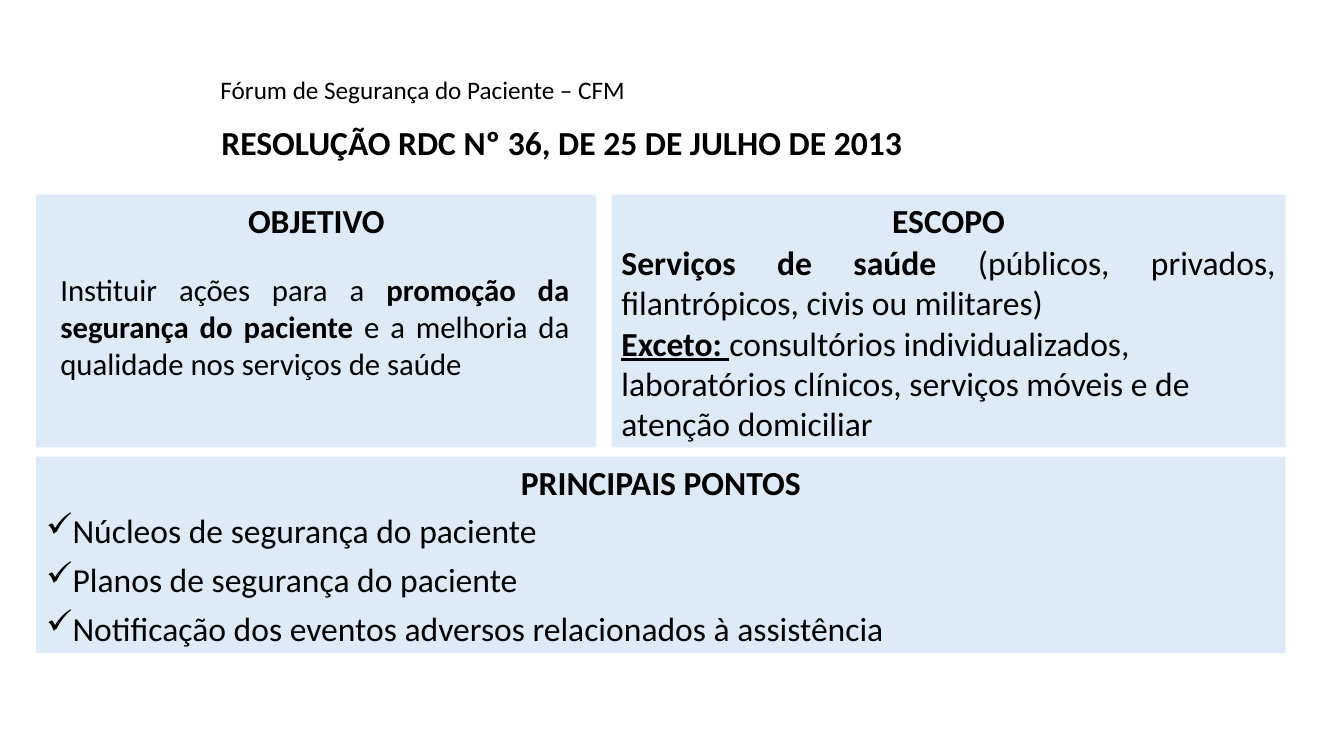
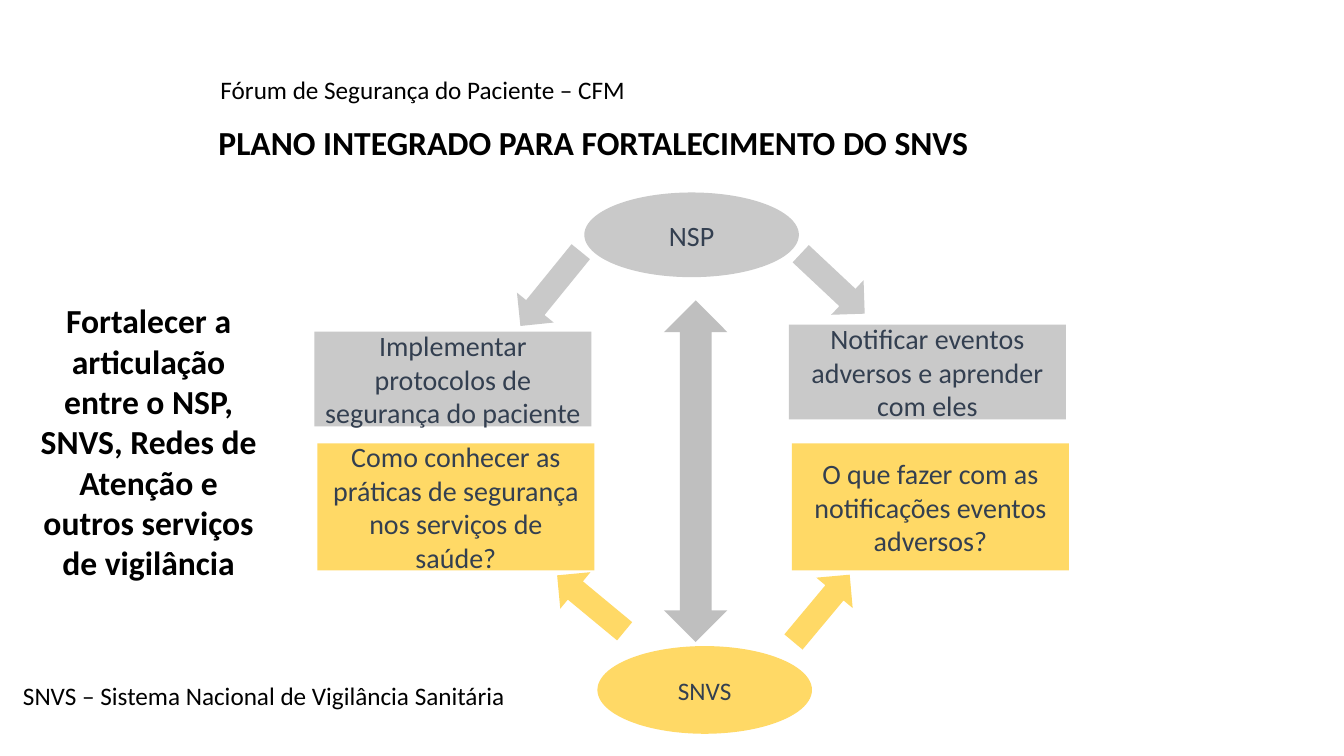
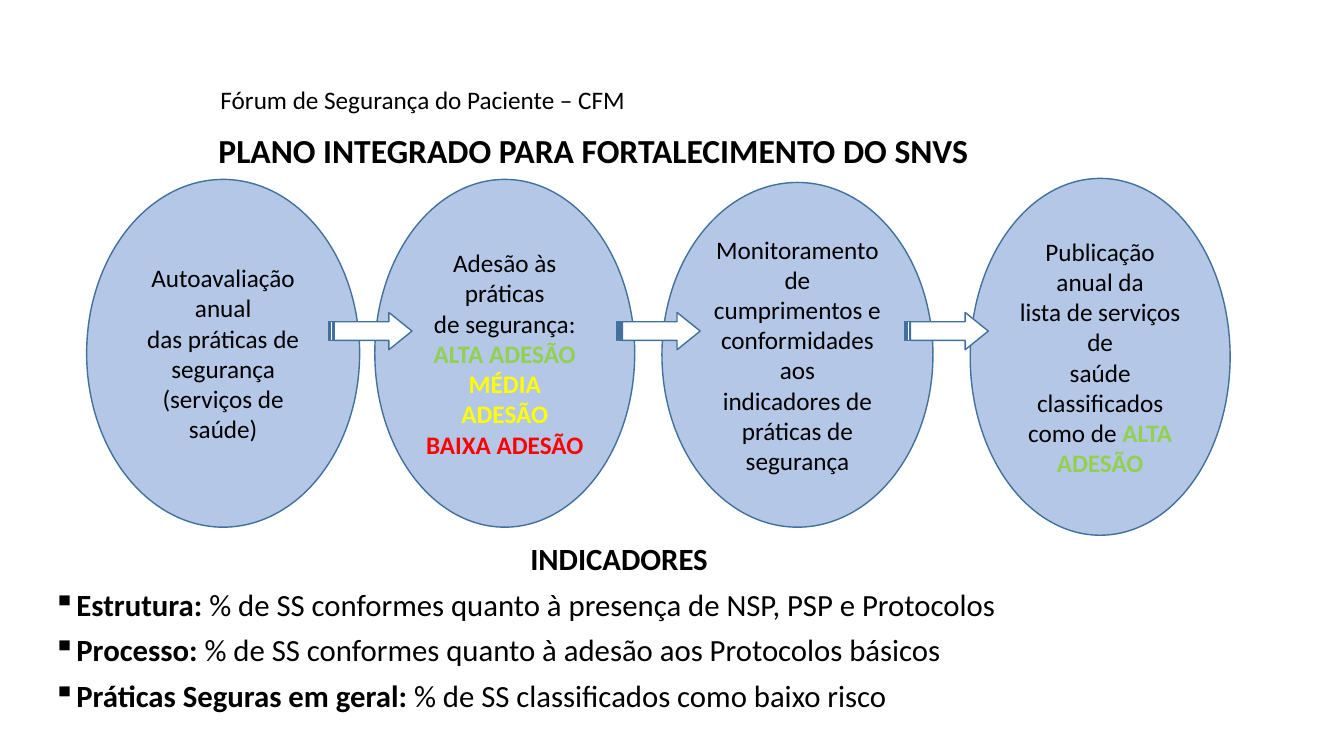
from lxml import etree
from pptx import Presentation
from pptx.dml.color import RGBColor
from pptx.enum import shapes, text
from pptx.oxml import ns
from pptx.util import Inches, Pt

FONT = "Calibri"
BLACK, WHITE, SLATE = "000000", "FFFFFF", "333F50"
PALE_BLUE, BLUE, OUTLINE = "DEEBF7", "B4C7E7", "41719C"
GREY, DARK_GREY, GOLD = "C9C9C9", "BFBFBF", "FFD966"
GREEN, YELLOW, RED = "92D050", "FFFF00", "FF0000"
LEFT, CENTER, JUSTIFY = text.PP_ALIGN.LEFT, text.PP_ALIGN.CENTER, text.PP_ALIGN.JUSTIFY
TOP, MIDDLE = text.MSO_ANCHOR.TOP, text.MSO_ANCHOR.MIDDLE
KIND = shapes.MSO_SHAPE
PLAN_TITLE = "PLANO INTEGRADO PARA FORTALECIMENTO DO SNVS"


def rgb(value):
    return RGBColor.from_string(value)


def bold(words, color=None, underline=None):
    return words, color, underline


def add_bullet(paragraph, mark, indent):
    properties = paragraph._p.get_or_add_pPr()
    properties.set("marL", str(Inches(indent)))
    properties.set("indent", str(-Inches(indent)))
    etree.SubElement(properties, ns.qn("a:buChar")).set("char", mark)


def add_runs(paragraph, runs):
    for part in runs:
        words, color, underline = (part, None, None) if isinstance(part, str) else part
        run = paragraph.add_run()
        run.text = words
        if not isinstance(part, str):
            run.font.bold = True
        if color:
            run.font.color.rgb = rgb(color)
        if underline:
            run.font.underline = True


def write(shape, paragraphs, size, color=BLACK, align=LEFT, anchor=TOP, strong=False,
          heading=None, bullet=None, before=0, after=0):
    frame = shape.text_frame
    frame.word_wrap = True
    frame.vertical_anchor = anchor
    lines = ([heading] if heading else []) + paragraphs
    for index, line in enumerate(lines):
        paragraph = frame.add_paragraph() if index else frame.paragraphs[0]
        is_heading = heading is not None and index == 0
        if bullet and not is_heading:
            add_bullet(paragraph, *bullet)
        paragraph.alignment = CENTER if is_heading else align
        paragraph.space_before = Pt(before if index else 0)
        paragraph.space_after = Pt(after)
        font = paragraph.font
        font.name, font.size, font.bold = FONT, Pt(size), strong or is_heading
        font.color.rgb = rgb(color)
        add_runs(paragraph, [line] if isinstance(line, (str, tuple)) else line)


def add_text(slide, box, paragraphs, size, **style):
    write(slide.shapes.add_textbox(*map(Inches, box)), paragraphs, size, **style)


def add_block(slide, kind, box, fill, line=None, rotation=0):
    shape = slide.shapes.add_shape(kind, *map(Inches, box))
    shape.shadow.inherit = False
    shape.fill.solid()
    shape.fill.fore_color.rgb = rgb(fill)
    if line:
        shape.line.color.rgb = rgb(line)
        shape.line.width = Pt(1)
    else:
        shape.line.fill.background()
    shape.rotation = rotation
    return shape


def start_slide(deck, title, left=2.07, forum_top=0.69, title_top=1.16):
    slide = deck.slides.add_slide(deck.slide_layouts[6])
    add_text(slide, (2.09, forum_top, 4.29, 0.4), ["Fórum de Segurança do Paciente – CFM"], 18)
    add_text(slide, (left, title_top, 10.66, 0.9), [title], 24, strong=True)
    return slide


def build_resolution(deck):
    slide = start_slide(deck, "RESOLUÇÃO RDC Nº 36, DE 25 DE JULHO DE 2013", left=2.1)
    for heading, left, width in (("OBJETIVO", 0.36, 5.56), ("ESCOPO", 6.07, 6.69)):
        panel = add_block(slide, KIND.RECTANGLE, (left, 1.93, width, 2.51), PALE_BLUE)
        write(panel, [], 24, heading=heading)
    add_text(slide, (0.5, 2.64, 5.25, 1.2), [[
        "Instituir ações para a ",
        bold("promoção da segurança do paciente "),
        "e a melhoria da qualidade nos serviços de saúde",
    ]], 22, align=JUSTIFY)
    add_text(slide, (6.07, 2.35, 6.69, 0.9), [[
        bold("Serviços de saúde "),
        "(públicos, privados, filantrópicos, civis ou militares)",
    ]], 24, align=JUSTIFY)
    add_text(slide, (6.07, 3.15, 6.69, 1.3), [[
        bold("Exceto: ", underline=True),
        "consultórios individualizados, laboratórios clínicos, "
        "serviços móveis e de atenção domiciliar",
    ]], 24)
    points = add_block(slide, KIND.RECTANGLE, (0.36, 4.53, 12.4, 1.95), PALE_BLUE)
    write(points, [
        "Núcleos de segurança do paciente",
        "Planos de segurança do paciente",
        "Notificação dos eventos adversos relacionados à assistência",
    ], 24, align=JUSTIFY, heading="PRINCIPAIS PONTOS", bullet=("✓", 0.26), before=3, after=3)


def build_cycle(deck):
    slide = start_slide(deck, PLAN_TITLE)
    nodes = (
        (KIND.OVAL, (5.8, 1.91, 2.13, 0.84), GREY, 20, "NSP"),
        (KIND.RECTANGLE, (3.12, 3.29, 2.75, 0.94), GREY, 20,
         "Implementar protocolos de segurança do paciente"),
        (KIND.RECTANGLE, (7.83, 3.22, 2.75, 0.94), GREY, 20,
         "Notificar eventos adversos e aprender com eles"),
        (KIND.RECTANGLE, (3.15, 4.4, 2.75, 1.26), GOLD, 20,
         "Como conhecer as práticas de segurança nos serviços de saúde?"),
        (KIND.RECTANGLE, (7.86, 4.4, 2.75, 1.26), GOLD, 20,
         "O que fazer com as notificações eventos adversos?"),
        (KIND.OVAL, (5.93, 6.41, 2.13, 0.87), GOLD, 18, "SNVS"),
    )
    for kind, box, fill, size, label in nodes:
        node = add_block(slide, kind, box, fill)
        write(node, [label], size, color=SLATE, align=CENTER, anchor=MIDDLE)
    for left, top, width, angle, fill in (
        (4.99, 2.63, 0.95, 129.1, GREY),
        (7.83, 2.58, 0.87, 43.1, GREY),
        (5.43, 5.75, 0.87, 219.6, GOLD),
        (7.72, 5.8, 0.87, 309.9, GOLD),
    ):
        add_block(slide, KIND.RIGHT_ARROW, (left, top, width, 0.47), fill, rotation=angle)
    add_block(slide, KIND.UP_DOWN_ARROW, (6.59, 2.98, 0.63, 3.39), DARK_GREY)
    goal = add_block(slide, KIND.RECTANGLE, (0.23, 2.93, 2.49, 2.9), WHITE)
    write(goal, ["Fortalecer a articulação entre o NSP, SNVS, Redes de Atenção "
                 "e outros serviços de vigilância"], 24, align=CENTER, strong=True)
    add_text(slide, (0.13, 6.7, 6.86, 0.4),
             ["SNVS – Sistema Nacional de Vigilância Sanitária"], 18)


def build_indicators(deck):
    slide = start_slide(deck, PLAN_TITLE, forum_top=0.79, title_top=1.24)
    stages = (
        ((0.86, 1.78, 2.71, 3.45), [
            "Autoavaliação anual", "das práticas de", "segurança", "(serviços de saúde)"]),
        ((3.72, 1.78, 2.58, 3.45), [
            "Adesão às práticas", "de segurança:", bold("ALTA ADESÃO", GREEN),
            bold("MÉDIA ADESÃO", YELLOW), bold("BAIXA ADESÃO", RED)]),
        ((6.57, 1.81, 2.69, 3.42), [
            "Monitoramento de", "cumprimentos e", "conformidades aos",
            "indicadores de", "práticas de", "segurança"]),
        ((9.63, 1.77, 2.58, 3.54), [
            "Publicação anual da", "lista de serviços de", "saúde classificados",
            ["como de ", bold("ALTA ADESÃO", GREEN)]]),
    )
    for box, lines in stages:
        stage = add_block(slide, KIND.OVAL, box, BLUE, OUTLINE)
        write(stage, lines, 18, align=CENTER, anchor=MIDDLE)
    for step in range(len(stages) - 1):
        arrow = add_block(slide, KIND.STRIPED_RIGHT_ARROW,
                          (3.26 + 2.86 * step, 3.1, 0.83, 0.37), WHITE, OUTLINE)
        arrow.adjustments[1] = 0.62
    add_text(slide, (0.43, 5.31, 11.43, 1.82), [
        [bold("Estrutura: "), "% de SS conformes quanto à presença de NSP, PSP e Protocolos"],
        [bold("Processo: "), "% de SS conformes quanto à adesão aos Protocolos básicos"],
        [bold("Práticas Seguras em geral: "), "% de SS classificados como baixo risco"],
    ], 22, heading="INDICADORES", bullet=("▪", 0.23), after=6)


def main():
    deck = Presentation()
    deck.slide_width, deck.slide_height = Inches(13.34), Inches(7.5)
    build_resolution(deck)
    build_cycle(deck)
    build_indicators(deck)
    deck.save("out.pptx")


if __name__ == "__main__":
    main()
